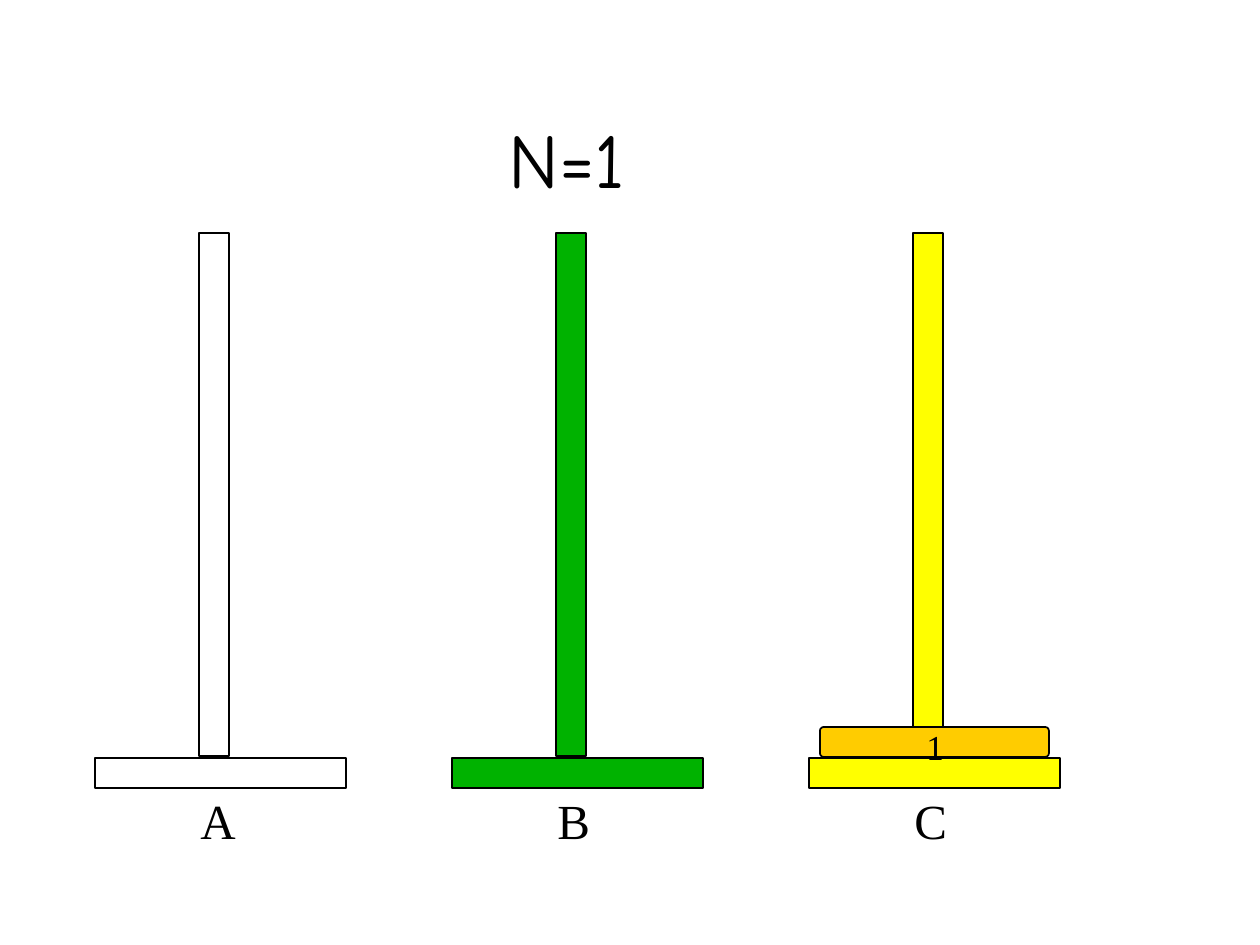
"""Draw the three pegs of the Tower of Hanoi with one disk."""
import dataclasses

import pptx
import pptx.dml.color
import pptx.enum.shapes
import pptx.enum.text
import pptx.util

SCALE = 914400 / 126
PITCH = 357
SERIF = "Times New Roman"
KIND = pptx.enum.shapes.MSO_SHAPE
ALIGN = pptx.enum.text.PP_ALIGN
ANCHOR = pptx.enum.text.MSO_ANCHOR


@dataclasses.dataclass
class Box:
    left: int
    top: int
    width: int
    height: int

    def emu(self) -> list[int]:
        return [round(n * SCALE) for n in dataclasses.astuple(self)]


@dataclasses.dataclass
class Peg:
    name: str
    fill: str


def color(code: str) -> pptx.dml.color.RGBColor:
    return pptx.dml.color.RGBColor.from_string(code)


def block(slide, box: Box, fill: str, kind=KIND.RECTANGLE):
    shape = slide.shapes.add_shape(kind, *box.emu())
    shape.shadow.inherit = False
    shape.fill.solid()
    shape.fill.fore_color.rgb = color(fill)
    shape.line.color.rgb = color("000000")
    shape.line.width = pptx.util.Pt(1)
    return shape


def label(slide, box: Box, text: str, size: int, font: str = SERIF, inset: int = 6,
          align=ALIGN.LEFT, anchor=ANCHOR.TOP) -> None:
    frame = slide.shapes.add_textbox(*box.emu()).text_frame
    frame.word_wrap = True
    frame.vertical_anchor = anchor
    frame.margin_top = round(inset * SCALE)
    frame.text = text
    para = frame.paragraphs[0]
    para.alignment = align
    run = para.runs[0]
    run.font.name = font
    run.font.size = pptx.util.Pt(size)
    run.font.color.rgb = color("000000")


def tower(slide, peg: Peg, left: int) -> None:
    block(slide, Box(left, 758, 251, 30), peg.fill)
    block(slide, Box(left + 104, 233, 30, 523), peg.fill)
    label(slide, Box(left + 93, 779, 126, 72), peg.name, 28, inset=11)


def main() -> None:
    deck = pptx.Presentation()
    deck.slide_width = pptx.util.Inches(10)
    deck.slide_height = pptx.util.Inches(7.5)
    slide = deck.slides.add_slide(deck.slide_layouts[6])

    label(slide, Box(94, 21, 946, 189), "N=1", 44, "Comic Neue",
          align=ALIGN.CENTER, anchor=ANCHOR.BOTTOM)
    pegs = [Peg("A", "FFFFFF"), Peg("B", "00B200"), Peg("C", "FFFF00")]
    for i, peg in enumerate(pegs):
        tower(slide, peg, 95 + i * PITCH)

    disk = block(slide, Box(820, 727, 229, 30), "FFCC00", KIND.ROUNDED_RECTANGLE)
    disk.adjustments[0] = 0.125
    label(slide, Box(914, 716, 94, 54), "1", 20, inset=9)
    deck.save("out.pptx")


if __name__ == "__main__":
    main()
